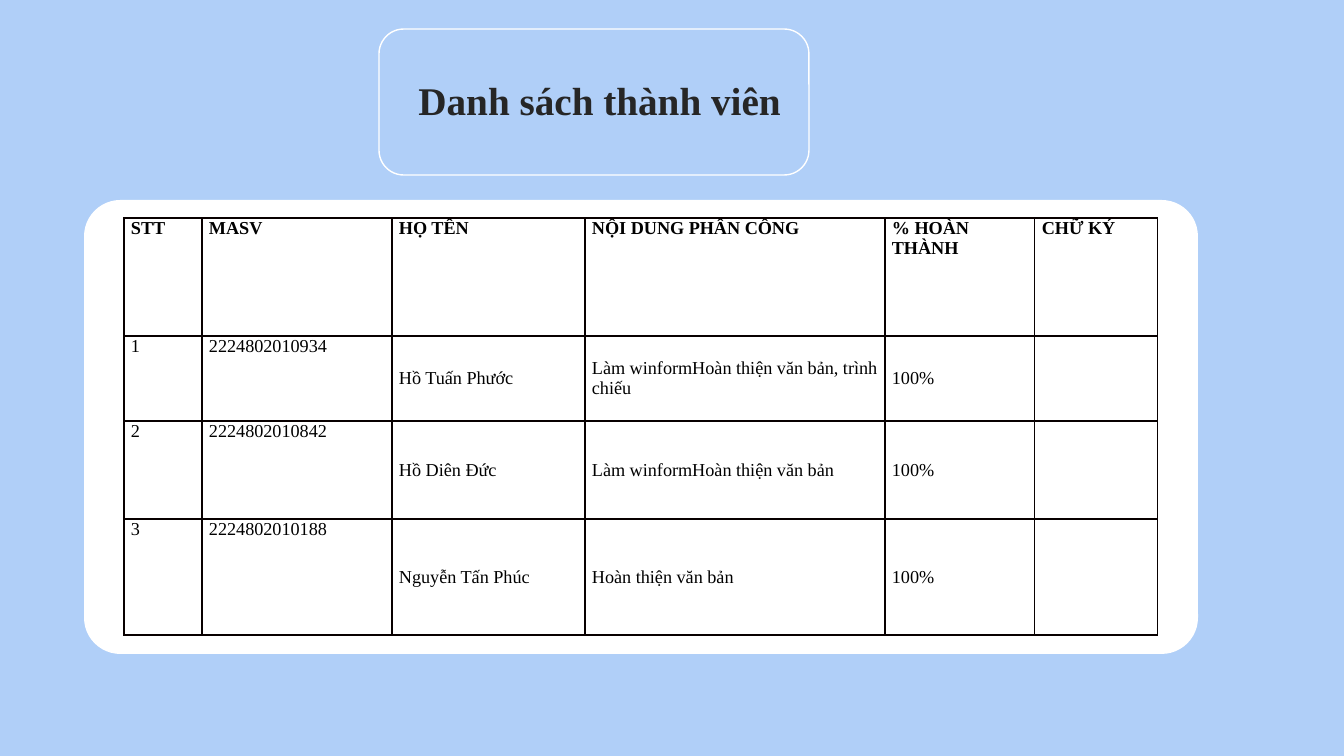
from lxml.etree import SubElement
from pptx import Presentation
from pptx.dml.color import RGBColor
from pptx.enum.shapes import MSO_SHAPE
from pptx.enum.text import MSO_ANCHOR, PP_ALIGN
from pptx.oxml.ns import qn
from pptx.util import Emu, Pt

FONT = "Times New Roman"
ROWS = [
    ["STT", "MASV", "HỌ TÊN", "NỘI DUNG PHÂN CÔNG", "% HOÀN THÀNH", "CHỮ KÝ"],
    ["1", "2224802010934", "Hồ Tuấn Phước", "Làm winformHoàn thiện văn bản, trình chiếu", "100%", ""],
    ["2", "2224802010842", "Hồ Diên Đức", "Làm winformHoàn thiện văn bản", "100%", ""],
    ["3", "2224802010188", "Nguyễn Tấn Phúc", "Hoàn thiện văn bản", "100%", ""],
]
COLUMN_WIDTHS = [78, 190, 193, 300, 150, 123]
ROW_HEIGHTS = [118, 85, 98, 116]


def px(length):
    return Emu(round(length * 914400 / 100.8))


def color(value):
    return RGBColor.from_string(value)


presentation = Presentation()
presentation.slide_width = px(1344)
presentation.slide_height = px(756)
slide = presentation.slides.add_slide(presentation.slide_layouts[6])

panels = [
    (MSO_SHAPE.RECTANGLE, (0, 0, 1344, 756), None, "B0CFF8", None),
    (MSO_SHAPE.ROUNDED_RECTANGLE, (379, 29, 430, 146), 0.17, None, "FFFFFF"),
    (MSO_SHAPE.ROUNDED_RECTANGLE, (84, 200, 1114, 454), 0.08, "FFFFFF", None),
]
for kind, bounds, corner, fill, line in panels:
    panel = slide.shapes.add_shape(kind, *map(px, bounds))
    panel.shadow.inherit = False
    if corner:
        panel.adjustments[0] = corner
    if fill:
        panel.fill.solid()
        panel.fill.fore_color.rgb = color(fill)
    else:
        panel.fill.background()
    if line:
        panel.line.color.rgb = color(line)
        panel.line.width = Pt(1)
    else:
        panel.line.fill.background()

title = slide.shapes.add_textbox(px(402), px(66), px(395), px(68))
title.text_frame.word_wrap = True
title.text_frame.vertical_anchor = MSO_ANCHOR.MIDDLE
title.text_frame.text = "Danh sách thành viên"
paragraph = title.text_frame.paragraphs[0]
paragraph.alignment = PP_ALIGN.CENTER
font = paragraph.runs[0].font
font.name = FONT
font.size = Pt(28)
font.bold = True
font.color.rgb = color("262626")

frame = slide.shapes.add_table(
    len(ROWS), len(COLUMN_WIDTHS), px(124), px(218), px(sum(COLUMN_WIDTHS)), px(sum(ROW_HEIGHTS))
)
table = frame.table
table.first_row = False
table.horz_banding = False
for column, width in zip(table.columns, COLUMN_WIDTHS):
    column.width = px(width)
for row, height in zip(table.rows, ROW_HEIGHTS):
    row.height = px(height)

for row_index, texts in enumerate(ROWS):
    for column_index, text in enumerate(texts):
        cell = table.cell(row_index, column_index)
        cell.margin_left = cell.margin_right = px(7)
        cell.margin_top = cell.margin_bottom = 0
        if row_index > 0 and column_index > 1:
            cell.vertical_anchor = MSO_ANCHOR.MIDDLE
        properties = cell._tc.get_or_add_tcPr()
        for side in ("a:lnL", "a:lnR", "a:lnT", "a:lnB"):
            border = SubElement(properties, qn(side), w=str(Pt(1)))
            border_fill = SubElement(border, qn("a:solidFill"))
            SubElement(border_fill, qn("a:srgbClr"), val="080000")
        cell.fill.background()
        cell.text_frame.text = text
        for run in cell.text_frame.paragraphs[0].runs:
            run.font.name = FONT
            run.font.size = Pt(13)
            run.font.bold = row_index == 0
            run.font.color.rgb = color("000000")

presentation.save("out.pptx")
